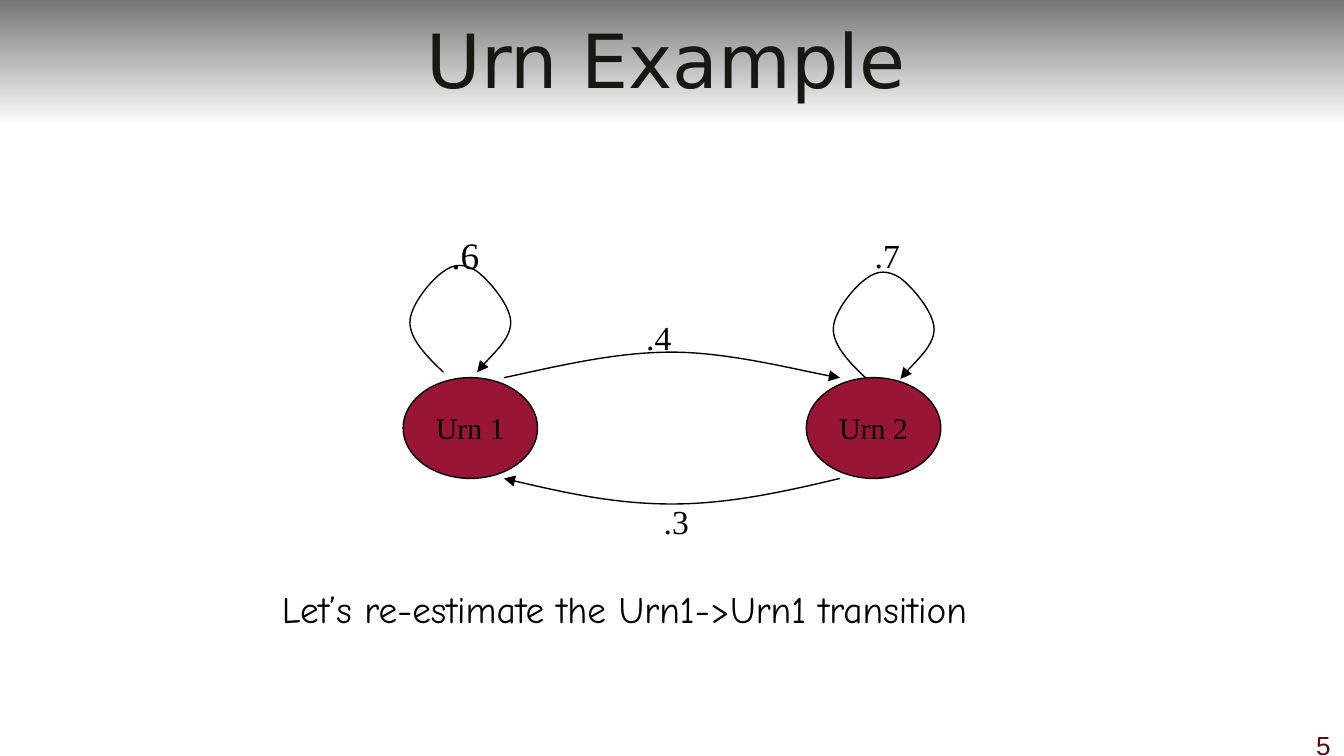
from lxml.etree import SubElement
from pptx import Presentation
from pptx.dml.color import RGBColor
from pptx.enum.shapes import MSO_SHAPE
from pptx.enum.text import MSO_ANCHOR, PP_ALIGN
from pptx.oxml.ns import qn
from pptx.util import Inches, Pt

BLACK = RGBColor(0, 0, 0)
WHITE = RGBColor(255, 255, 255)
GRAY = RGBColor(0x77, 0x77, 0x77)
INK = RGBColor(0x18, 0x18, 0x13)
RED = RGBColor(0x98, 0x15, 0x35)
MAROON = RGBColor(0x59, 0x0A, 0x0E)
SERIF = "Times New Roman"


def write(shape, text, size, face, color, align=PP_ALIGN.LEFT, wrap=False):
    frame = shape.text_frame
    frame.text = text
    frame.word_wrap = wrap
    para = frame.paragraphs[0]
    para.alignment = align
    font = para.runs[0].font
    font.size, font.name = Pt(size), face
    font.color.rgb = color


def curve(points):
    """Draw an arrow of cubic curves: a start, then three points per curve."""
    spots = [(Inches(x), Inches(y)) for x, y in points]
    pen = slide.shapes.build_freeform(*spots[0])
    pen.add_line_segments(spots[1:], close=False)
    shape = pen.convert_to_shape()
    shape.shadow.inherit = False
    shape.fill.background()
    shape.line.color.rgb = BLACK
    shape.line.width = Pt(0.75)
    # Each run of three straight segments becomes one cubic curve
    route = shape._element.find(".//" + qn("a:path"))
    lines = route.findall(qn("a:lnTo"))
    for i in range(0, len(lines), 3):
        cubic = SubElement(route, qn("a:cubicBezTo"))
        for line in lines[i:i + 3]:
            cubic.append(line[0])
            route.remove(line)
    SubElement(shape.line._get_or_add_ln(), qn("a:tailEnd"), type="triangle")


deck = Presentation()
deck.slide_width = Inches(10)
deck.slide_height = Inches(10 * 9 / 16)
slide = deck.slides.add_slide(deck.slide_layouts[5])

# Title on a fading banner
banner = slide.shapes.add_shape(MSO_SHAPE.RECTANGLE, 0, 0, Inches(10), Inches(0.94))
banner.shadow.inherit = False
banner.line.fill.background()
banner.fill.gradient()
banner.fill.gradient_angle = 270
for stop, color in zip(banner.fill.gradient_stops, (GRAY, WHITE)):
    stop.color.rgb = color
slide.shapes._spTree.insert(2, banner._element)

title = slide.shapes.title
title.left, title.top = Inches(0.08), Inches(0)
title.width, title.height = Inches(9.75), Inches(0.88)
write(title, "Urn Example", 40, "DejaVu Sans", INK, PP_ALIGN.CENTER, True)
title.text_frame.vertical_anchor = MSO_ANCHOR.MIDDLE

# Urns
for name, x in (("Urn 1", 3), ("Urn 2", 6)):
    urn = slide.shapes.add_shape(
        MSO_SHAPE.OVAL, Inches(x), Inches(2.81), Inches(1), Inches(0.75))
    urn.shadow.inherit = False
    urn.fill.solid()
    urn.fill.fore_color.rgb = RED
    urn.line.color.rgb = BLACK
    urn.line.width = Pt(0.75)
    write(urn, name, 16, SERIF, BLACK, PP_ALIGN.CENTER)
    urn.text_frame.vertical_anchor = MSO_ANCHOR.MIDDLE

# Arrows between the urns
curve([(3.75, 2.81), (4.17, 2.72), (4.58, 2.62), (5, 2.62),
       (5.42, 2.62), (6.04, 2.78), (6.25, 2.81)])
curve([(6.25, 3.56), (5.83, 3.66), (5.42, 3.75), (5, 3.75),
       (4.58, 3.75), (4.17, 3.66), (3.75, 3.56)])

# Loops back to the same urn
LOOP = [(0.25, 0.81), (0.12, 0.69), (0, 0.56), (0, 0.44),
        (0, 0.31), (0.16, 0.12), (0.25, 0.06),
        (0.33, 0), (0.41, 0), (0.5, 0.06),
        (0.58, 0.12), (0.75, 0.31), (0.75, 0.44),
        (0.75, 0.56), (0.54, 0.75), (0.5, 0.81)]
for left, top in ((6.2, 2.01), (3.05, 1.96)):
    curve([(left + x, top + y) for x, y in LOOP])

# Odds, caption and page number
for text, x, y, wide, high, size in (
        (".6", 3.26, 1.68, 0.41, 0.44, 20),
        (".7", 6.41, 1.7, 0.4, 0.4, 18),
        (".4", 4.71, 2.31, 0.39, 0.4, 18),
        (".3", 4.84, 3.68, 0.39, 0.4, 18)):
    label = slide.shapes.add_textbox(Inches(x), Inches(y), Inches(wide), Inches(high))
    write(label, text, size, SERIF, BLACK)

note = slide.shapes.add_textbox(Inches(2), Inches(4.31), Inches(6.33), Inches(0.44))
write(note, "Let’s re-estimate the Urn1->Urn1 transition", 20, "Comic Neue", BLACK,
      wrap=True)

page = slide.shapes.add_textbox(Inches(9.5), Inches(5.38), Inches(0.5), Inches(0.25))
write(page, "5", 14, "Arial", MAROON, PP_ALIGN.RIGHT, True)

deck.save("out.pptx")
